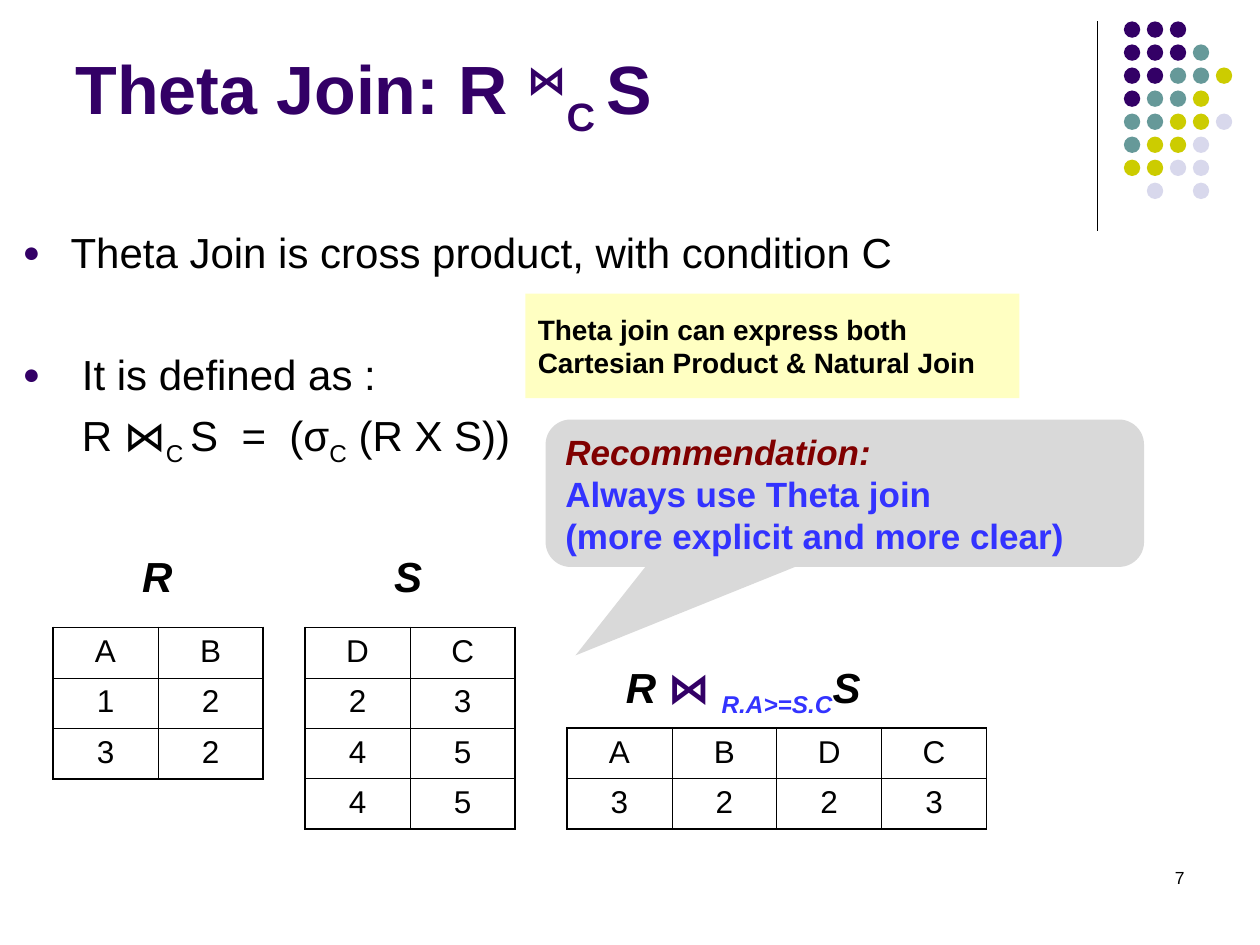
"""Build the Theta Join slide with its sample relations and result."""
from lxml import etree
from pptx import Presentation
from pptx.dml.color import RGBColor
from pptx.enum import shapes, text
from pptx.oxml import ns
from pptx.util import Inches, Pt

INK, PURPLE, BLUE = "000000", "330066", "3333FF"


def color(value):
    """Turn a hex string into a colour."""
    return RGBColor.from_string(value)


def write(para, size, spans, bold=False):
    """Add runs given as (text, colour, italic, baseline percent)."""
    for words, ink, italic, baseline in spans:
        span = para.add_run()
        span.text = words
        span.font.name, span.font.size = "Arial", Pt(size)
        span.font.bold, span.font.italic = bold, italic
        span.font.color.rgb = color(ink)
        if baseline:
            span._r.get_or_add_rPr().set("baseline", str(baseline * 1000))


deck = Presentation()
deck.slide_width, deck.slide_height = Inches(10), Inches(7.5)
page = deck.slides.add_slide(deck.slide_layouts[1])

rule = page.shapes.add_connector(
    shapes.MSO_CONNECTOR.STRAIGHT, Inches(8.71), Inches(0.17), Inches(8.71), Inches(1.83))
rule.line.color.rgb, rule.line.width = color(INK), Pt(0.75)
etree.SubElement(rule._element.spPr, ns.qn("a:effectLst"))

dot_colors = {"P": PURPLE, "T": "669999", "Y": "CCCC00", "L": "D8D8EC"}
dot_rows = ["PPP", "PPPT", "PPTTY", "PTTY", "TTYYL", "TYYL", "YYLL", " L L"]
for row, letters in enumerate(dot_rows):
    for column, letter in enumerate(letters):
        if letter in dot_colors:
            dot = page.shapes.add_shape(
                shapes.MSO_SHAPE.OVAL, Inches(8.92 + 0.73 * column / 4),
                Inches(0.17 + 1.28 * row / 7), Inches(0.13), Inches(0.13))
            dot.shadow.inherit = False
            dot.fill.solid()
            dot.fill.fore_color.rgb = color(dot_colors[letter])
            dot.line.fill.background()

title = page.shapes.title
title.left, title.top, title.width, title.height = map(Inches, (0.5, 0.13, 8.25, 1.03))
title.text_frame.vertical_anchor = text.MSO_ANCHOR.BOTTOM
title.text_frame.auto_size = text.MSO_AUTO_SIZE.NONE
heading = title.text_frame.paragraphs[0]
heading.alignment = text.PP_ALIGN.LEFT
write(heading, 39, [("Theta Join: R ", PURPLE, False, 0), ("⋈", PURPLE, False, 30),
                    ("C ", PURPLE, False, -25), ("S", PURPLE, False, 0)], bold=True)

body = page.placeholders[1]
body.left, body.top, body.width, body.height = map(Inches, (0.08, 1.75, 8.17, 2.25))
body.text_frame.auto_size = text.MSO_AUTO_SIZE.NONE
body.text_frame.margin_top = Inches(0.05)
points = [
    (0.38, 0, True, [("Theta Join is cross product, with condition C", INK, False, 0)]),
    (0.47, 41, True, [("It is defined as :", INK, False, 0)]),
    (0.47, 6, False, [("R ⋈", INK, False, 0), ("C ", INK, False, -25),
                      ("S  =  (σ", INK, False, 0), ("C", INK, False, -25),
                      (" (R X S))", INK, False, 0)]),
]
for index, (indent, gap, bulleted, spans) in enumerate(points):
    para = body.text_frame.paragraphs[0] if index == 0 else body.text_frame.add_paragraph()
    para.space_before = Pt(gap)
    props = para._p.get_or_add_pPr()
    props.set("marL", str(Inches(indent)))
    props.set("indent", str(-Inches(indent)) if bulleted else "0")
    if bulleted:
        tint = etree.SubElement(props, ns.qn("a:buClr"))
        etree.SubElement(tint, ns.qn("a:srgbClr"), val=PURPLE)
        etree.SubElement(props, ns.qn("a:buSzPct"), val="70000")
        etree.SubElement(props, ns.qn("a:buFont"), typeface="Arial")
        etree.SubElement(props, ns.qn("a:buChar"), char="●")
    else:
        etree.SubElement(props, ns.qn("a:buNone"))
    write(para, 24, spans)

relations = [
    (0.42, 4.98, 1.67, ["AB", "12", "32"]),
    (2.42, 4.98, 1.67, ["DC", "23", "45", "45"]),
    (4.5, 5.78, 3.33, ["ABDC", "3223"]),
]
for left, top, width, rows in relations:
    last_row, last_column = len(rows) - 1, len(rows[0]) - 1
    frame = page.shapes.add_table(last_row + 1, last_column + 1, Inches(left), Inches(top),
                                  Inches(width), Inches(0.4 * len(rows)))
    for row, values in enumerate(rows):
        for column, value in enumerate(values):
            cell = frame.table.cell(row, column)
            para = cell.text_frame.paragraphs[0]
            para.alignment = text.PP_ALIGN.CENTER
            write(para, 18, [(value, INK, False, 0)])
            edges = {"a:lnL": column == 0, "a:lnR": column == last_column,
                     "a:lnT": row == 0, "a:lnB": row == last_row}
            cell_props = cell._tc.get_or_add_tcPr()
            for tag, outer in edges.items():
                edge = etree.SubElement(cell_props, ns.qn(tag), w=str(Pt(1.08 if outer else 0.45)))
                paint = etree.SubElement(edge, ns.qn("a:solidFill"))
                etree.SubElement(paint, ns.qn("a:srgbClr"), val=INK)
            cell.fill.background()

labels = [
    (1.03, 4.32, 0.5, 0.5, 24, True, text.PP_ALIGN.LEFT, [("R", INK, True, 0)]),
    (3.03, 4.32, 0.5, 0.5, 24, True, text.PP_ALIGN.LEFT, [("S", INK, True, 0)]),
    (4.87, 5.2, 2.3, 0.56, 24, True, text.PP_ALIGN.LEFT,
     [("R ", INK, True, 0), ("⋈ ", PURPLE, False, 0),
      ("R.A>=S.C", BLUE, True, -25), ("S", INK, True, 0)]),
    (7.17, 6.83, 2.33, 0.5, 10, False, text.PP_ALIGN.RIGHT, [("7", INK, False, 0)]),
]
for left, top, width, height, size, bold, alignment, spans in labels:
    box = page.shapes.add_textbox(Inches(left), Inches(top), Inches(width), Inches(height))
    box.text_frame.word_wrap = True
    para = box.text_frame.paragraphs[0]
    para.alignment = alignment
    write(para, size, spans, bold)

notes = [
    (shapes.MSO_SHAPE.RECTANGLE, 4.17, 2.33, 3.92, 0.83, "FFFFC2", 16, [],
     [("Theta join can express both Cartesian Product & Natural Join", INK, False, 0)]),
    (shapes.MSO_SHAPE.ROUNDED_RECTANGULAR_CALLOUT, 4.33, 3.33, 4.75, 1.17, "D9D9D9", 20,
     [-0.45, 1.1, 0.17],
     [("Recommendation:", "800000", True, 0), ("Always use Theta join", BLUE, False, 0),
      ("(more explicit and more clear)", BLUE, False, 0)]),
]
for kind, left, top, width, height, fill, size, adjustments, lines in notes:
    note = page.shapes.add_shape(kind, Inches(left), Inches(top), Inches(width), Inches(height))
    note.shadow.inherit = False
    note.fill.solid()
    note.fill.fore_color.rgb = color(fill)
    note.line.fill.background()
    for index, amount in enumerate(adjustments):
        note.adjustments[index] = amount
    note.text_frame.word_wrap = True
    note.text_frame.vertical_anchor = text.MSO_ANCHOR.MIDDLE
    for index, line in enumerate(lines):
        para = note.text_frame.paragraphs[0] if index == 0 else note.text_frame.add_paragraph()
        para.alignment = text.PP_ALIGN.LEFT
        write(para, size, [line], bold=True)

deck.save("out.pptx")
